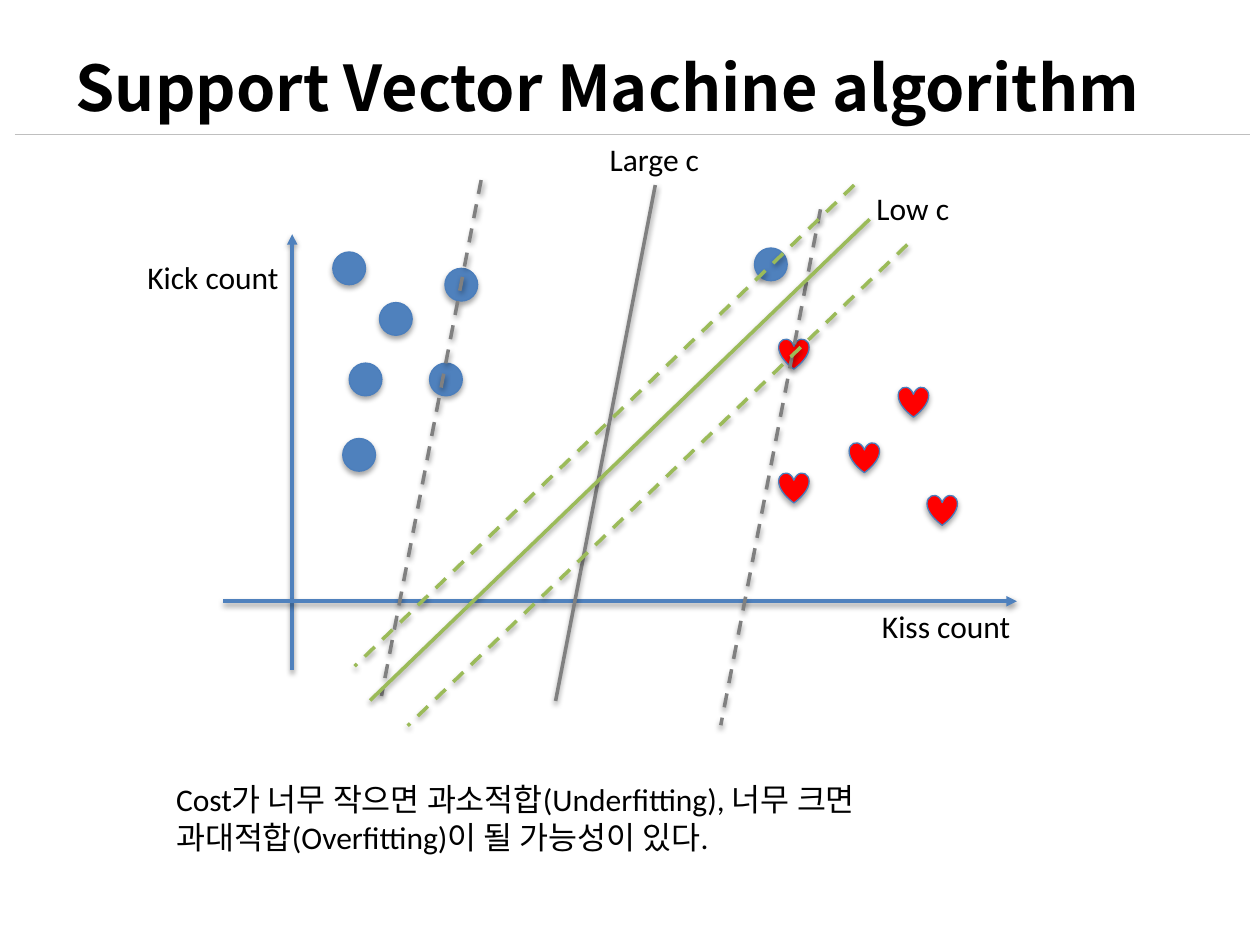
import pptx
import pptx.util
import pptx.dml.color
import pptx.enum.dml
import pptx.enum.shapes
import pptx.enum.text
import pptx.oxml
import pptx.oxml.ns

Cm, Pt = pptx.util.Cm, pptx.util.Pt
SHAPES = pptx.enum.shapes.MSO_SHAPE
DASH = pptx.enum.dml.MSO_LINE.DASH
TEXT = pptx.enum.text

COLORS = {
    "text": "000000", "rule": "BFBFBF", "blue": "4F81BD", "outline": "4B7EBC",
    "red": "FF0000", "gray": "808080", "green": "9BBB59",
}
TITLE_FONT = {"name": "Noto Sans CJK KR", "size": Pt(36), "bold": True}
BODY_FONT = {"name": "Calibri", "size": Pt(18), "bold": False}


def color(name):
    return pptx.dml.color.RGBColor.from_string(COLORS[name])


def set_all(target, values):
    for name, value in values.items():
        setattr(target, name, value)


def set_shadow(shape, opacity=None, distance=0):
    """Give a soft shadow straight below, or none when opacity is None."""
    shadow = ""
    if opacity is not None:
        shadow = (
            f'<a:outerShdw blurRad="{Pt(3.1)}" dist="{Pt(distance)}" dir="5400000" rotWithShape="0">'
            f'<a:srgbClr val="000000"><a:alpha val="{opacity * 1000}"/></a:srgbClr></a:outerShdw>'
        )
    namespace = pptx.oxml.ns.nsdecls("a")
    shape._element.spPr.append(
        pptx.oxml.parse_xml(f"<a:effectLst {namespace}>{shadow}</a:effectLst>"))


class Page:
    def __init__(self, deck):
        self.slide = deck.slides.add_slide(deck.slide_layouts[5])
        self.shapes = self.slide.shapes

    def set_text(self, box, text, font, anchor):
        set_all(box.text_frame, {
            "word_wrap": True, "vertical_anchor": anchor,
            "auto_size": TEXT.MSO_AUTO_SIZE.NONE,
        })
        para = box.text_frame.paragraphs[0]
        para.alignment = TEXT.PP_ALIGN.LEFT
        span = para.add_run()
        span.text = text
        set_all(span.font, font)
        span.font.color.rgb = color("text")

    def title(self, text, left, top, width, height):
        box = self.shapes.title
        set_all(box, {"left": Cm(left), "top": Cm(top),
                      "width": Cm(width), "height": Cm(height)})
        self.set_text(box, text, TITLE_FONT, TEXT.MSO_ANCHOR.MIDDLE)

    def label(self, text, left, top, width, height=1.02):
        box = self.shapes.add_textbox(Cm(left), Cm(top), Cm(width), Cm(height))
        self.set_text(box, text, BODY_FONT, TEXT.MSO_ANCHOR.TOP)

    def line(self, start, end, ink, weight=2, dashed=False, arrow=False, shadow=True):
        line = self.shapes.add_connector(
            pptx.enum.shapes.MSO_CONNECTOR.STRAIGHT, *map(Cm, start + end))
        line.line.color.rgb = color(ink)
        line.line.width = Pt(weight)
        if dashed:
            line.line.dash_style = DASH
        if arrow:
            namespace = pptx.oxml.ns.nsdecls("a")
            line._element.spPr.find(pptx.oxml.ns.qn("a:ln")).append(
                pptx.oxml.parse_xml(f'<a:tailEnd {namespace} type="triangle"/>'))
        set_shadow(line, 38 if shadow else None, 1.6)

    def markers(self, kind, size, fill, corners):
        for left, top in corners:
            marker = self.shapes.add_shape(kind, Cm(left), Cm(top), Cm(size), Cm(size))
            marker.fill.solid()
            marker.fill.fore_color.rgb = color(fill)
            marker.line.color.rgb = color("outline")
            marker.line.width = Pt(0.75)
            set_shadow(marker, 35, 1.8)

    def boundary(self, ink, shift, starts):
        """Draw a solid decision line and its two dashed, parallel margins."""
        for index, (x, y) in enumerate(starts):
            self.line((x, y), (x + shift[0], y + shift[1]), ink, dashed=index > 0)


def main():
    deck = pptx.Presentation()
    set_all(deck, {"slide_width": Cm(25.4), "slide_height": Cm(19.05)})
    page = Page(deck)

    page.line((0.3, 2.72), (25.2, 2.72), "rule", weight=0.5, shadow=False)
    page.title("Support Vector Machine algorithm", 1.27, 0.76, 24.64, 1.96)
    page.label("Cost가 너무 작으면 과소적합(Underfitting), 너무 크면 "
               "과대적합(Overfitting)이 될 가능성이 있다.", 3.3, 15.6, 15.16, 1.8)

    page.line((5.89, 13.51), (5.89, 4.72), "blue", arrow=True)
    page.line((4.5, 12.12), (20.5, 12.12), "blue", arrow=True)
    page.label("Kick count", 2.72, 5.08, 3.2)
    page.label("Kiss count", 17.53, 12.12, 3.2)

    page.markers(SHAPES.OVAL, 0.66, "blue", [
        (6.71, 5.08), (8.97, 5.41), (7.65, 6.1), (7.04, 7.32),
        (8.66, 7.32), (6.91, 8.84), (15.21, 5)])
    page.markers(SHAPES.HEART, 0.61, "red", [
        (15.7, 9.53), (17.12, 8.92), (18.69, 9.98), (18.11, 7.8), (15.7, 6.83)])

    page.boundary("gray", (-2.01, 10.4), [(13.21, 3.73), (16.54, 4.22), (9.7, 3.63)])
    page.boundary("green", (-10.07, 9.7), [(17.53, 4.42), (18.29, 4.93), (17.22, 3.73)])
    page.label("Low c", 17.42, 3.68, 2.01)
    page.label("Large c", 12.04, 2.69, 2.69)

    deck.save("out.pptx")


if __name__ == "__main__":
    main()
